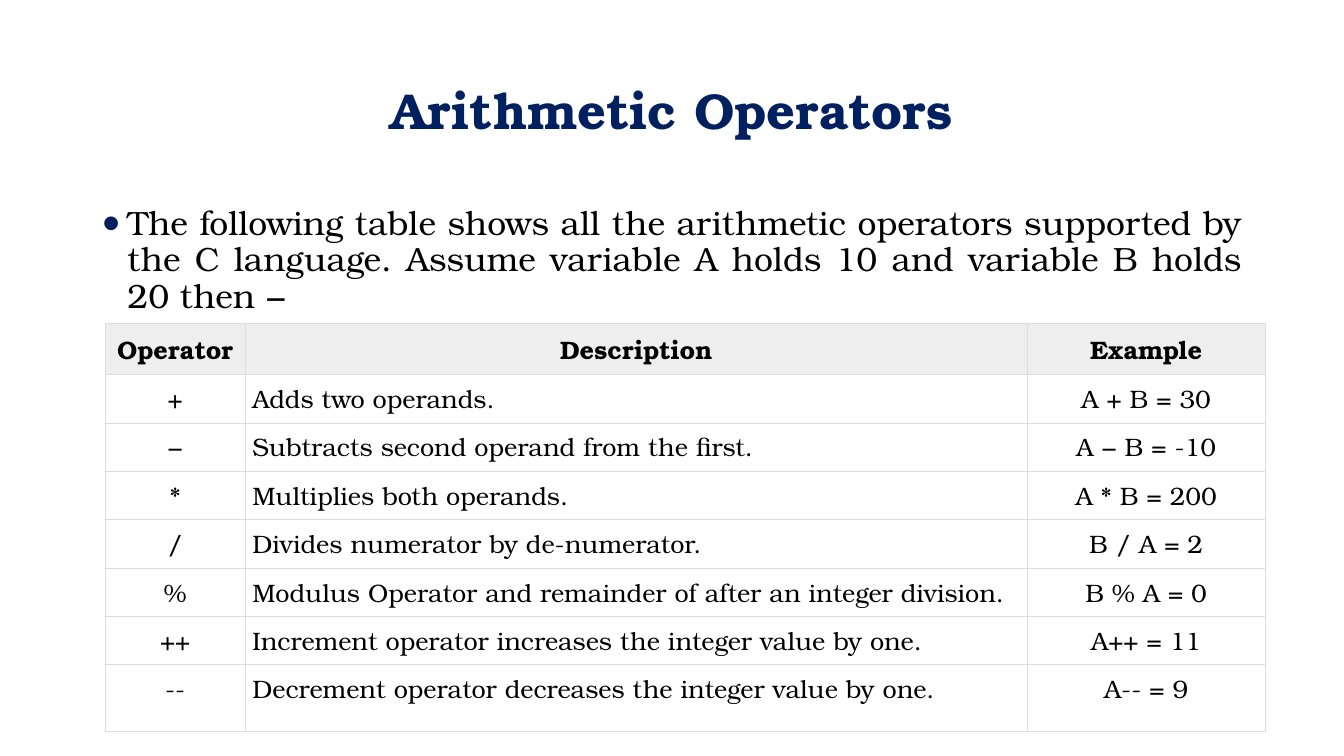
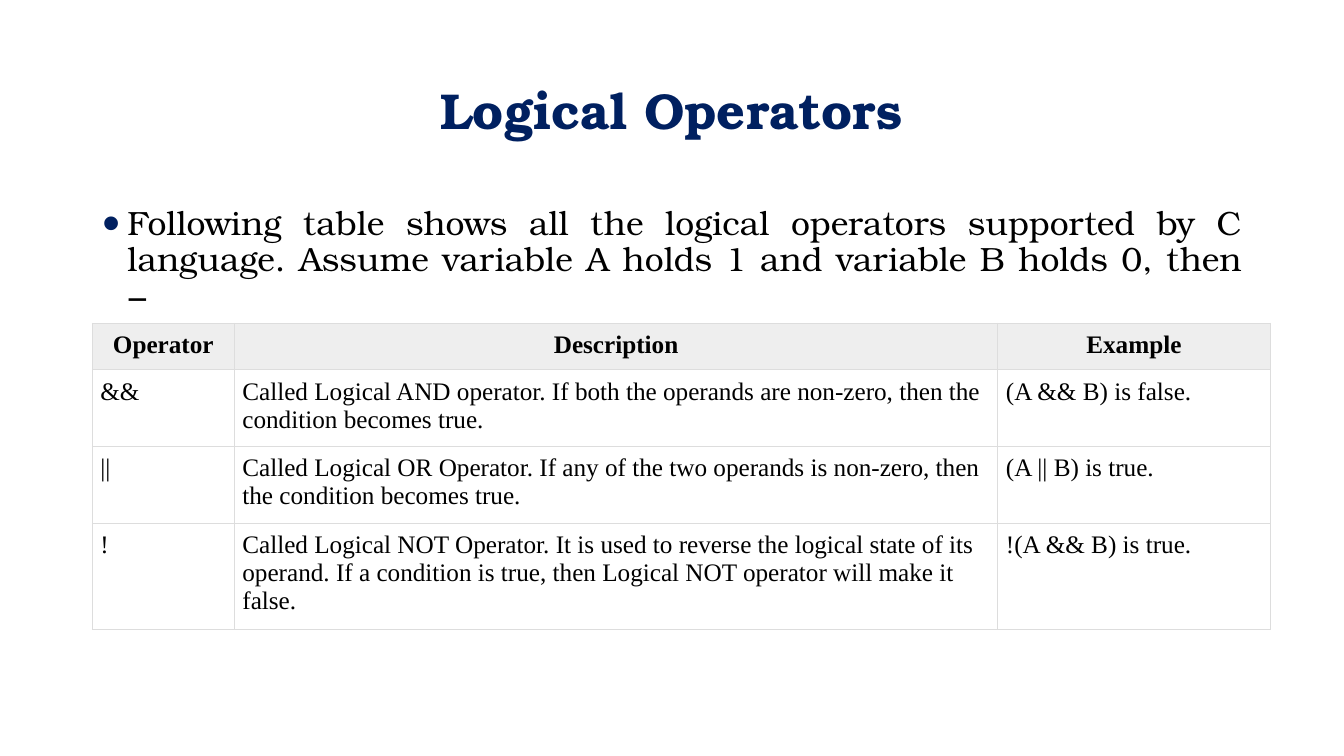
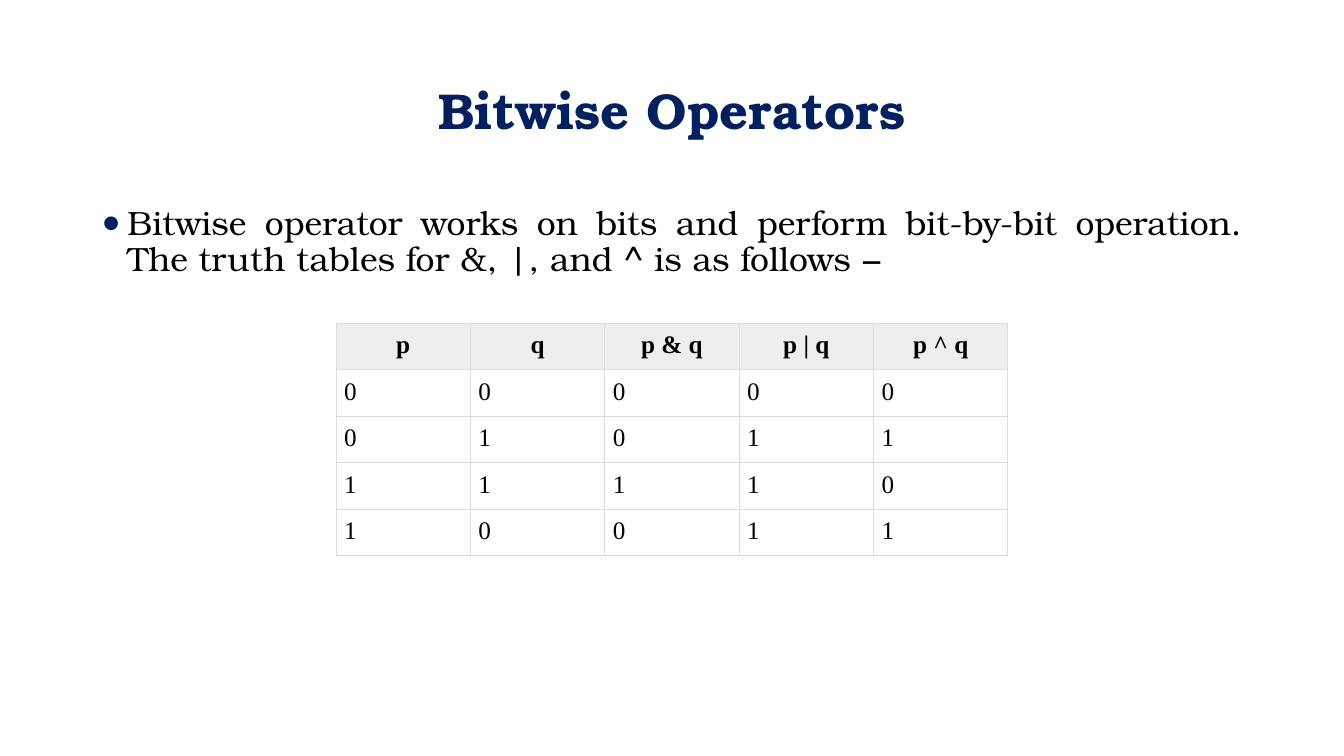
from lxml import etree
from pptx import Presentation
from pptx.dml.color import RGBColor
from pptx.enum.text import MSO_ANCHOR as Anchor, MSO_AUTO_SIZE as AutoSize, PP_ALIGN as Align
from pptx.oxml import parse_xml
from pptx.oxml.ns import nsdecls, qn
from pptx.util import Inches, Pt

# Shared look: a grid of 160 columns by 90 rows, colours and fonts
COLUMNS, ROWS = 160, 90
CELL = Inches(1) / 12
COLORS = {"title": "002060", "text": "000000", "header": "EEEEEE", "border": "DDDDDD"}
SERIF, TIMES = "TeX Gyre Bonum", "Times New Roman"
TITLE_BOX = (11, 4.8, 138, 17.4)
INTRO_LEFT, INTRO_TOP, INTRO_WIDTH = 11, 24, 138
TABLE_TOP = 38.5
LEFT, CENTER = Align.LEFT, Align.CENTER

SLIDES = [
    {
        "title": "Arithmetic Operators",
        "intro": "The following table shows all the arithmetic operators supported by "
                 "the C language. Assume variable A holds 10 and variable B holds 20 then −",
        "intro_height": 57,
        "table": {
            "left": 12.5, "font": SERIF, "inset": 0.07,
            "widths": [16.7, 93.1, 28.3],
            "heights": [6.1] + [5.76] * 6 + [7.9],
            "aligns": [CENTER, LEFT, CENTER],
            "rows": [
                ("Operator", "Description", "Example"),
                ("+", "Adds two operands.", "A + B = 30"),
                ("−", "Subtracts second operand from the first.", "A − B = -10"),
                ("*", "Multiplies both operands.", "A * B = 200"),
                ("/", "Divides numerator by de-numerator.", "B / A = 2"),
                ("%", "Modulus Operator and remainder of after an integer division.",
                 "B % A = 0"),
                ("++", "Increment operator increases the integer value by one.", "A++ = 11"),
                ("--", "Decrement operator decreases the integer value by one.", "A-- = 9"),
            ],
        },
    },
    {
        "title": "Logical Operators",
        "intro": "Following table shows all the logical operators supported by C language. "
                 "Assume variable A holds 1 and variable B holds 0, then −",
        "intro_height": 66,
        "table": {
            "left": 11, "font": TIMES, "inset": 0.08,
            "widths": [16.9, 90.9, 32.4],
            "heights": [5.3, 8.65, 8.65, 12],
            "aligns": [LEFT] * 3,
            "rows": [
                ("Operator", "Description", "Example"),
                ("&&", "Called Logical AND operator. If both the operands are non-zero, "
                       "then the condition becomes true.", "(A && B) is false."),
                ("||", "Called Logical OR Operator. If any of the two operands is non-zero, "
                       "then the condition becomes true.", "(A || B) is true."),
                ("!", "Called Logical NOT Operator. It is used to reverse the logical state "
                      "of its operand. If a condition is true, then Logical NOT operator "
                      "will make it false.", "!(A && B) is true."),
            ],
        },
    },
    {
        "title": "Bitwise Operators",
        "intro": "Bitwise operator works on bits and perform bit-by-bit operation. "
                 "The truth tables for &, |, and ^ is as follows −",
        "intro_height": 66,
        "table": {
            "left": 40, "font": TIMES, "inset": 0.08,
            "widths": [16] * 5,
            "heights": [5.32] * 5,
            "aligns": [LEFT] * 5,
            "rows": [("p", "q", "p & q", "p | q", "p ^ q"),
                     "00000", "01011", "11110", "10011"],
        },
    },
]


def grid(*lengths):
    """Turn grid units into slide lengths."""
    return [round(length * CELL) for length in lengths]


def set_font(paragraph, name, size, color, bold=False):
    font = paragraph.font
    font.name, font.size, font.bold = name, Pt(size), bold
    font.color.rgb = RGBColor.from_string(COLORS[color])


def place_title(slide, text, box):
    title = slide.shapes.title
    title.left, title.top, title.width, title.height = grid(*box)
    frame = title.text_frame
    frame.text = text
    frame.word_wrap = True
    frame.auto_size = AutoSize.NONE
    frame.vertical_anchor = Anchor.MIDDLE
    paragraph = frame.paragraphs[0]
    paragraph.alignment = CENTER
    paragraph.line_spacing = 0.9
    set_font(paragraph, SERIF, 36, "title", bold=True)


def add_bullet(paragraph):
    """Give the paragraph a large bullet with a hanging indent."""
    properties = paragraph._p.get_or_add_pPr()
    properties.set("marL", str(Inches(0.25)))
    properties.set("indent", str(-Inches(0.25)))
    color = etree.SubElement(properties, qn("a:buClr"))
    etree.SubElement(color, qn("a:srgbClr"), val=COLORS["title"])
    etree.SubElement(properties, qn("a:buSzPct"), val="150000")
    etree.SubElement(properties, qn("a:buFont"), typeface="Arial")
    etree.SubElement(properties, qn("a:buChar"), char="•")


def place_intro(slide, text, box):
    frame = slide.shapes.add_textbox(*grid(*box)).text_frame
    frame.word_wrap = True
    frame.text = text
    paragraph = frame.paragraphs[0]
    add_bullet(paragraph)
    paragraph.alignment = Align.JUSTIFY
    paragraph.line_spacing = 0.9
    set_font(paragraph, SERIF, 24, "text")


def add_borders(cell):
    properties = cell._tc.get_or_add_tcPr()
    for side in ("lnL", "lnR", "lnT", "lnB"):
        properties.append(parse_xml(
            f'<a:{side} {nsdecls("a")} w="{Pt(0.75)}"><a:solidFill>'
            f'<a:srgbClr val="{COLORS["border"]}"/></a:solidFill></a:{side}>'))


def fill_cell(cell, text, font, inset, align, is_header):
    cell.margin_left = cell.margin_right = Inches(inset)
    cell.margin_top = cell.margin_bottom = Inches(inset)
    add_borders(cell)
    if is_header:
        cell.fill.solid()
        cell.fill.fore_color.rgb = RGBColor.from_string(COLORS["header"])
    else:
        cell.fill.background()
    cell.text = text
    paragraph = cell.text_frame.paragraphs[0]
    paragraph.alignment = CENTER if is_header else align
    set_font(paragraph, font, 18, "text", bold=is_header)


def place_table(slide, top, left, font, inset, widths, heights, aligns, rows):
    box = grid(left, top, sum(widths), sum(heights))
    table = slide.shapes.add_table(len(rows), len(widths), *box).table
    table.horz_banding = False
    for column, width in zip(table.columns, grid(*widths)):
        column.width = width
    for row, height in zip(table.rows, grid(*heights)):
        row.height = height
    for row_index, texts in enumerate(rows):
        for column_index, text in enumerate(texts):
            fill_cell(table.cell(row_index, column_index), text, font, inset,
                      aligns[column_index], row_index == 0)


def add_operator_slide(presentation, content):
    """Title, bulleted introduction and table."""
    slide = presentation.slides.add_slide(presentation.slide_layouts[5])
    place_title(slide, content["title"], TITLE_BOX)
    place_intro(slide, content["intro"],
                (INTRO_LEFT, INTRO_TOP, INTRO_WIDTH, content["intro_height"]))
    place_table(slide, TABLE_TOP, **content["table"])


def main():
    presentation = Presentation()
    presentation.slide_width, presentation.slide_height = grid(COLUMNS, ROWS)
    for content in SLIDES:
        add_operator_slide(presentation, content)
    presentation.save("out.pptx")


if __name__ == "__main__":
    main()
